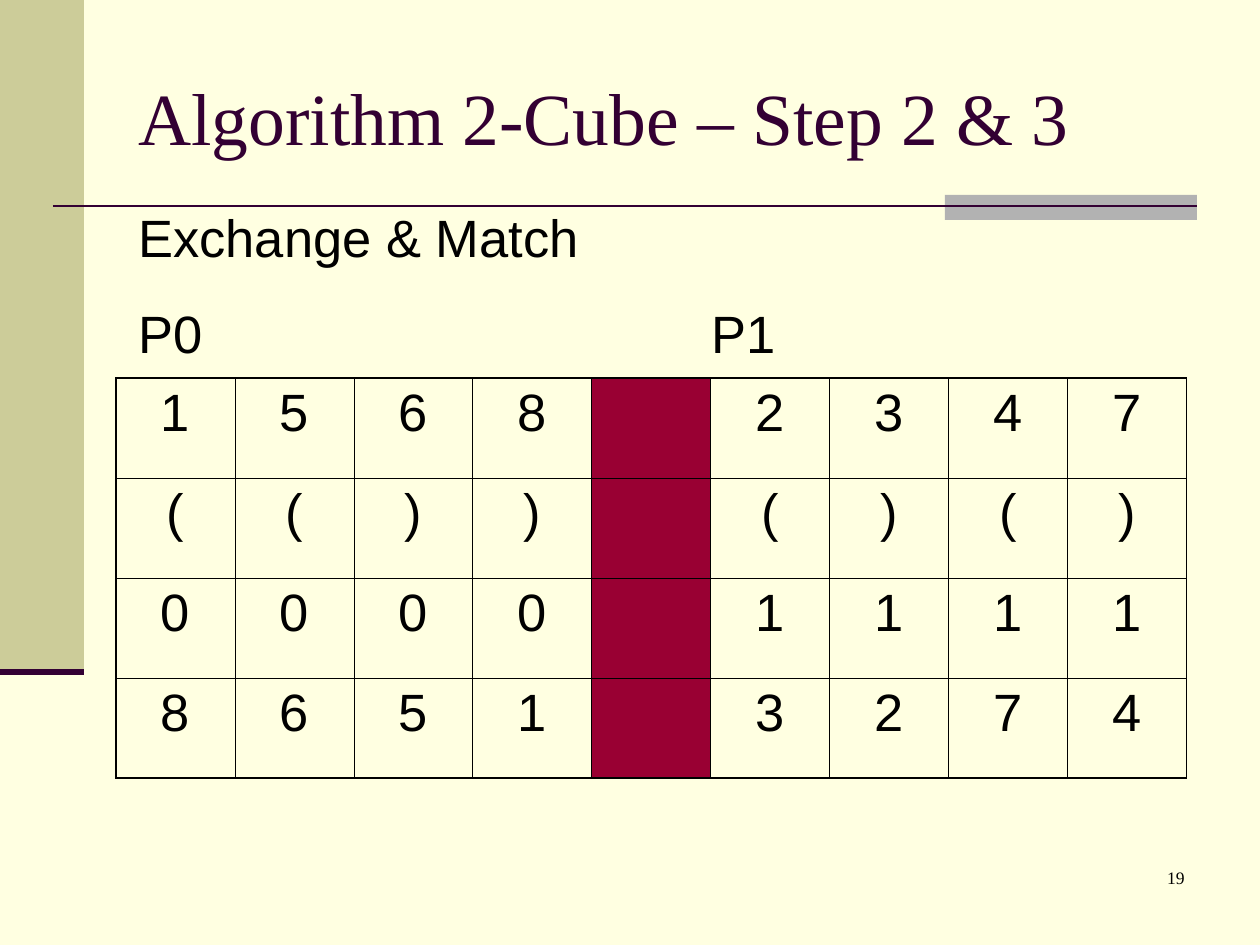
from lxml.etree import SubElement
from pptx import Presentation
from pptx.dml.color import RGBColor
from pptx.enum.shapes import MSO_CONNECTOR, MSO_SHAPE
from pptx.enum.text import MSO_ANCHOR, PP_ALIGN
from pptx.oxml.ns import qn
from pptx.util import Emu, Pt

CREAM = RGBColor(0xFF, 0xFF, 0xE1)
KHAKI = RGBColor(0xCC, 0xCC, 0x99)
GRAY = RGBColor(0xB2, 0xB2, 0xB2)
PLUM = RGBColor(0x33, 0x00, 0x33)
CRIMSON = RGBColor(0x99, 0x00, 0x33)
BLACK = RGBColor(0x00, 0x00, 0x00)
SERIF, SANS = "Times New Roman", "Arial"

# Content
TITLE = "Algorithm 2-Cube – Step 2 & 3"
CAPTION = ["Exchange & Match", "P0\tP1"]
PAGE_NUMBER = "19"
P0_ROWS = ["1568", "(())", "0000", "8651"]
P1_ROWS = ["2347", "()()", "1111", "3274"]
ROWS = [[*p0, "", *p1] for p0, p1 in zip(P0_ROWS, P1_ROWS)]

# Layout in px: left, top, width, height
BANDS = [((0, 0, 84, 672), KHAKI), ((945, 195, 252, 25), GRAY)]
RULES = [((53, 206, 1197, 206), 1.5), ((0, 672, 84, 672), 3.5)]
TITLE_BOX = (126, 38, 1071, 157)
CAPTION_BOX = (126, 199, 998, 171)
PAGE_BOX = (935, 861, 262, 63)
TABLE_LEFT, TABLE_TOP, COLUMN, ROW = 116, 378, 119, 100
P1_TAB = 573
OUTER, INNER = 1.08, 0.45


def px(value):
    return Emu(round(value * 914400 / 126))


def format_paragraph(paragraph, font_name, size, color, align, before=0):
    paragraph.alignment = align
    paragraph.space_before = Pt(before)
    for run in paragraph.runs:
        run.font.name = font_name
        run.font.size = Pt(size)
        run.font.color.rgb = color


def add_text(slide, box, lines, font_name, size, color,
             align=PP_ALIGN.LEFT, anchor=MSO_ANCHOR.TOP, before=0):
    frame = slide.shapes.add_textbox(*map(px, box)).text_frame
    frame.word_wrap = True
    frame.vertical_anchor = anchor
    frame.text = "\n".join(lines)
    for paragraph in frame.paragraphs:
        format_paragraph(paragraph, font_name, size, color, align, before)
    return frame


def set_borders(cell, widths):
    properties = cell._tc.get_or_add_tcPr()
    for index, (side, width) in enumerate(widths.items()):
        border = properties.makeelement(qn(f"a:ln{side}"), {"w": str(Pt(width))})
        fill = SubElement(border, qn("a:solidFill"))
        SubElement(fill, qn("a:srgbClr"), val=str(BLACK))
        properties.insert(index, border)


prs = Presentation()
prs.slide_width, prs.slide_height = px(1260), px(945)
slide = prs.slides.add_slide(prs.slide_layouts[6])
slide.background.fill.solid()
slide.background.fill.fore_color.rgb = CREAM

# Decorative bands and rules
for box, color in BANDS:
    band = slide.shapes.add_shape(MSO_SHAPE.RECTANGLE, *map(px, box))
    band.shadow.inherit = False
    band.fill.solid()
    band.fill.fore_color.rgb = color
    band.line.fill.background()
for ends, width in RULES:
    rule = slide.shapes.add_connector(MSO_CONNECTOR.STRAIGHT, *map(px, ends))
    rule.line.color.rgb = PLUM
    rule.line.width = Pt(width)
    SubElement(rule._element.spPr, qn("a:effectLst"))

# Title
add_text(slide, TITLE_BOX, [TITLE], SERIF, 42, PLUM, anchor=MSO_ANCHOR.MIDDLE)

# Table of both processors, split by a filled column
last_row, last_column = len(ROWS) - 1, len(ROWS[0]) - 1
table = slide.shapes.add_table(
    len(ROWS), len(ROWS[0]), px(TABLE_LEFT), px(TABLE_TOP),
    px(COLUMN * len(ROWS[0])), px(ROW * len(ROWS))).table
table.first_row = table.horz_banding = False
for column in table.columns:
    column.width = px(COLUMN)
for r, values in enumerate(ROWS):
    table.rows[r].height = px(ROW)
    for c, value in enumerate(values):
        cell = table.cell(r, c)
        if value:
            cell.fill.background()
        else:
            cell.fill.solid()
            cell.fill.fore_color.rgb = CRIMSON
        cell.text_frame.text = value
        format_paragraph(cell.text_frame.paragraphs[0], SANS, 30, BLACK,
                         PP_ALIGN.CENTER, 7.5)
        set_borders(cell, {
            "L": OUTER if c == 0 else INNER,
            "R": OUTER if c == last_column else INNER,
            "T": OUTER if r == 0 else INNER,
            "B": OUTER if r == last_row else INNER,
        })

# Caption, with P1 on a tab stop above its half of the table
caption = add_text(slide, CAPTION_BOX, CAPTION, SANS, 30, BLACK, before=18.7)
caption_tabs = SubElement(caption.paragraphs[1]._p.get_or_add_pPr(), qn("a:tabLst"))
SubElement(caption_tabs, qn("a:tab"), pos=str(px(P1_TAB)), algn="l")

# Page number
add_text(slide, PAGE_BOX, [PAGE_NUMBER], SERIF, 10, BLACK, PP_ALIGN.RIGHT)

prs.save("out.pptx")
